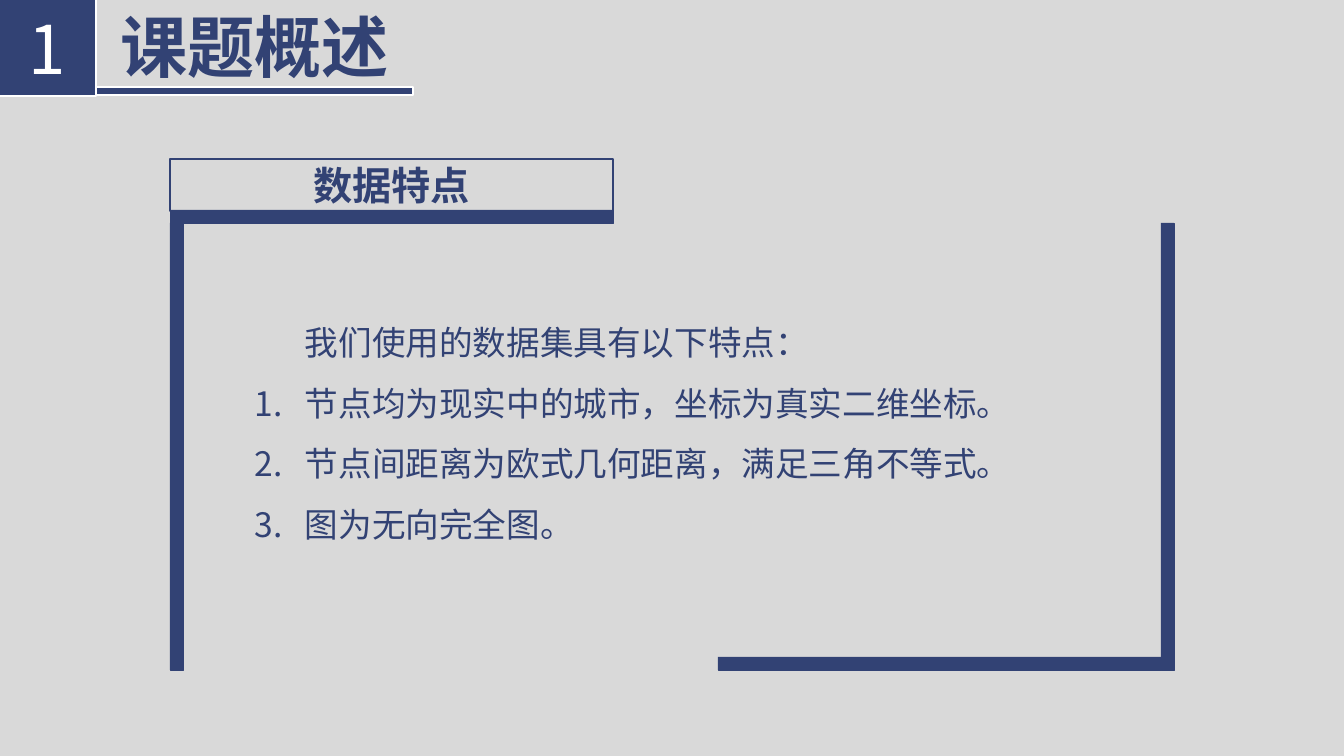
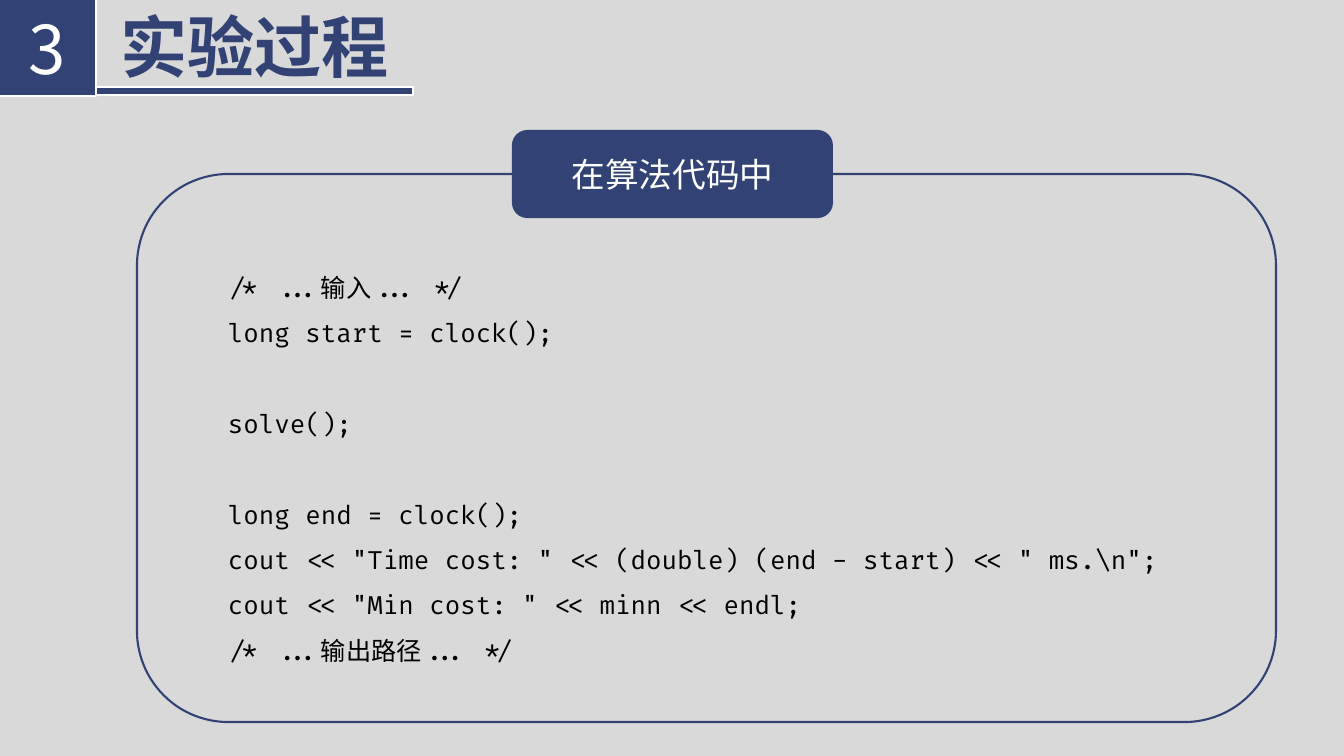
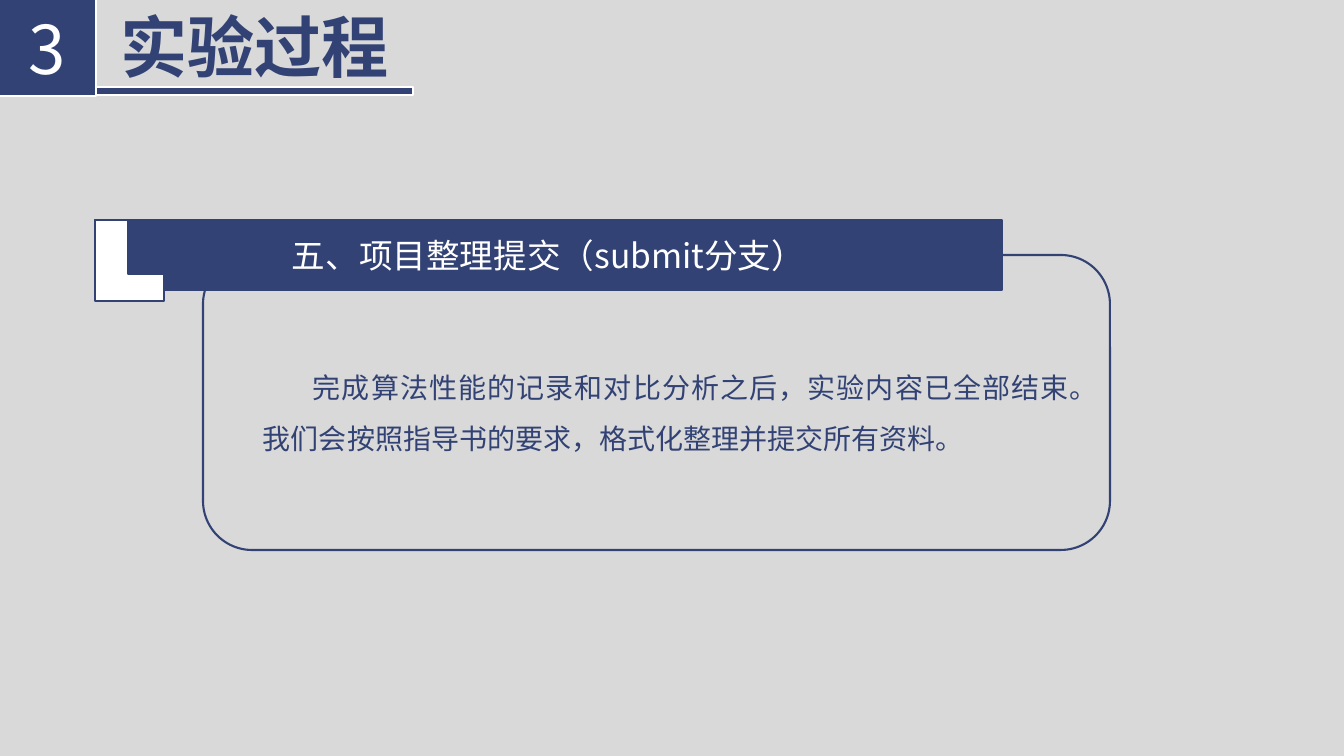
from dataclasses import dataclass

from lxml.etree import SubElement
from pptx import Presentation
from pptx.dml.color import RGBColor
from pptx.enum.shapes import MSO_SHAPE as Preset
from pptx.enum.text import MSO_ANCHOR as Anchor, PP_ALIGN as Align
from pptx.oxml.ns import qn
from pptx.util import Emu, Pt

PX_PER_INCH = 100.8
SLIDE_WIDTH, SLIDE_HEIGHT = 1344, 756
COLORS = {
    "navy": "324274",
    "ground": "D9D9D9",
    "white": "FFFFFF",
    "black": "000000",
}
SANS, MONO, CODE = "Noto Sans CJK SC", "DejaVu Sans Mono", "Fira Code"
INDENT = 50


@dataclass
class Box:
    left: int
    top: int
    width: int
    height: int

    def inner(self, left, top, width, height):
        return Box(self.left + left, self.top + top, width, height)

    def emu(self):
        return [px(n) for n in (self.left, self.top, self.width, self.height)]


def px(length):
    return Emu(round(length * 914400 / PX_PER_INCH))


def color(name):
    return RGBColor.from_string(COLORS[name])


def paint(shape, fill=None, line="navy", weight=1):
    shape.shadow.inherit = False
    if fill:
        shape.fill.solid()
        shape.fill.fore_color.rgb = color(fill)
    else:
        shape.fill.background()
    shape.line.color.rgb = color(line)
    shape.line.width = Pt(weight)
    return shape


def draw(page, box, fill=None, line="navy", weight=1, preset=Preset.RECTANGLE):
    return paint(page.shapes.add_shape(preset, *box.emu()), fill, line, weight)


def draw_corner(page, box, arm, foot):
    left, top, width, height = box.emu()
    inner_x, inner_y = left + px(arm), top + height - px(foot)
    right, bottom = left + width, top + height
    outline = page.shapes.build_freeform(left, top)
    outline.add_line_segments([
        (inner_x, top), (inner_x, inner_y), (right, inner_y),
        (right, bottom), (left, bottom),
    ])
    paint(outline.convert_to_shape(), "white")


def style(para, size, ink, font=SANS, bold=False):
    para.font.size = Pt(size)
    para.font.bold = bold
    para.font.color.rgb = color(ink)
    para.font.name = font
    defaults = para._p.pPr.find(qn("a:defRPr"))
    SubElement(defaults, qn("a:ea")).set("typeface", SANS)


def write(shape, lines, size, ink, font=SANS, bold=False,
          align=Align.CENTER, anchor=Anchor.MIDDLE, spacing=1):
    frame = shape.text_frame
    frame.word_wrap = True
    frame.vertical_anchor = anchor
    for number, line in enumerate(lines):
        para = frame.add_paragraph() if number else frame.paragraphs[0]
        para.text = line
        para.alignment = align
        para.line_spacing = spacing
        style(para, size, ink, font, bold)
    return frame.paragraphs


def text(page, box, lines, size, ink, **options):
    return write(page.shapes.add_textbox(*box.emu()), lines, size, ink,
                 anchor=Anchor.TOP, **options)


def indent(para, margin, first, numbered=False):
    properties = para._p.get_or_add_pPr()
    properties.set("marL", str(px(margin)))
    properties.set("indent", str(px(first)))
    if numbered:
        bullet = properties.makeelement(qn("a:buAutoNum"), {"type": "arabicPeriod"})
        properties.find(qn("a:defRPr")).addprevious(bullet)


def header(page, box, number, title):
    draw(page, box.inner(0, 88, 414, 8), "navy", "white")
    badge = draw(page, box.inner(0, 0, 97, 97), "navy", "white")
    write(badge, [number], 48, "white")
    text(page, box.inner(96, 1, 319, 92), [title], 48, "navy", bold=True)


def bracket_panel(page, box, label, intro, items):
    bar, arm, label_height = 13, 443, 52
    side_top = label_height - 1 + bar
    side_height = box.height - side_top
    right = box.width - bar
    for part in (
        box.inner(0, side_top, bar, side_height),
        box.inner(right, side_top, bar, side_height),
        box.inner(0, side_top - bar, arm, bar),
        box.inner(right - arm, box.height - bar, arm, bar),
    ):
        draw(page, part, "navy", weight=0.5)
    heading = draw(page, box.inner(0, 0, arm, label_height), weight=1.5)
    write(heading, [label], 28, "navy", bold=True)
    paras = text(page, box.inner(75, 138, 855, 247), [intro, *items], 24, "navy",
                 align=Align.JUSTIFY, spacing=1.5)
    indent(paras[0], 0, INDENT)
    for para in paras[1:]:
        indent(para, INDENT, -INDENT, numbered=True)


def code_panel(page, box, label, blocks):
    tab_width, tab_height = 319, 86
    draw(page, box, "ground", weight=1.5, preset=Preset.ROUNDED_RECTANGLE)
    lines = [line for block in blocks for line in block]
    paras = text(page, box.inner(81, 78, 977, 418), lines, 18, "black",
                 font=CODE, align=Align.LEFT, spacing=1.5)
    start = 0
    for block in blocks[:-1]:
        start += len(block)
        paras[start].space_before = Pt(32.4)
    tab = draw(page, box.inner(376, -tab_height // 2, tab_width, tab_height),
               "navy", weight=1.5, preset=Preset.ROUNDED_RECTANGLE)
    write(tab, [label], 24, "white", font=MONO)


def ribbon_panel(page, box, label, body):
    ribbon = Box(box.left - 108, box.top - 35, box.width, 70)
    draw(page, box, weight=1.5, preset=Preset.ROUNDED_RECTANGLE)
    write(draw(page, ribbon, "navy"), [label], 24, "white")
    draw_corner(page, ribbon.inner(0, 0, 69, 81), arm=33, foot=27)
    paras = text(page, box.inner(50, 94, 827, 107), [body], 20, "navy",
                 font=MONO, align=Align.JUSTIFY, spacing=1.5)
    indent(paras[0], 0, INDENT)


def add_page(deck, number, title):
    page = deck.slides.add_slide(deck.slide_layouts[6])
    header(page, Box(-1, -1, 415, 97), number, title)
    return page


def main():
    deck = Presentation()
    deck.slide_width, deck.slide_height = px(SLIDE_WIDTH), px(SLIDE_HEIGHT)
    ground = deck.slide_master.background.fill
    ground.solid()
    ground.fore_color.rgb = color("ground")

    bracket_panel(
        add_page(deck, "1", "课题概述"), Box(170, 159, 1004, 511),
        "数据特点", "我们使用的数据集具有以下特点：",
        [
            "节点均为现实中的城市，坐标为真实二维坐标。",
            "节点间距离为欧式几何距离，满足三角不等式。",
            "图为无向完全图。",
        ],
    )
    code_panel(
        add_page(deck, "3", "实验过程"), Box(137, 174, 1139, 548),
        "在算法代码中",
        [
            ["/* ...输入... */", "long start = clock();"],
            ["solve();"],
            [
                "long end = clock();",
                r'cout << "Time cost: " << (double) (end - start) << " ms.\n";',
                'cout << "Min cost: " << minn << endl;',
                "/* ...输出路径... */",
            ],
        ],
    )
    ribbon_panel(
        add_page(deck, "3", "实验过程"), Box(203, 255, 907, 295),
        "五、项目整理提交（submit分支）",
        "完成算法性能的记录和对比分析之后，实验内容已全部结束。"
        "我们会按照指导书的要求，格式化整理并提交所有资料。",
    )
    deck.save("out.pptx")


if __name__ == "__main__":
    main()
